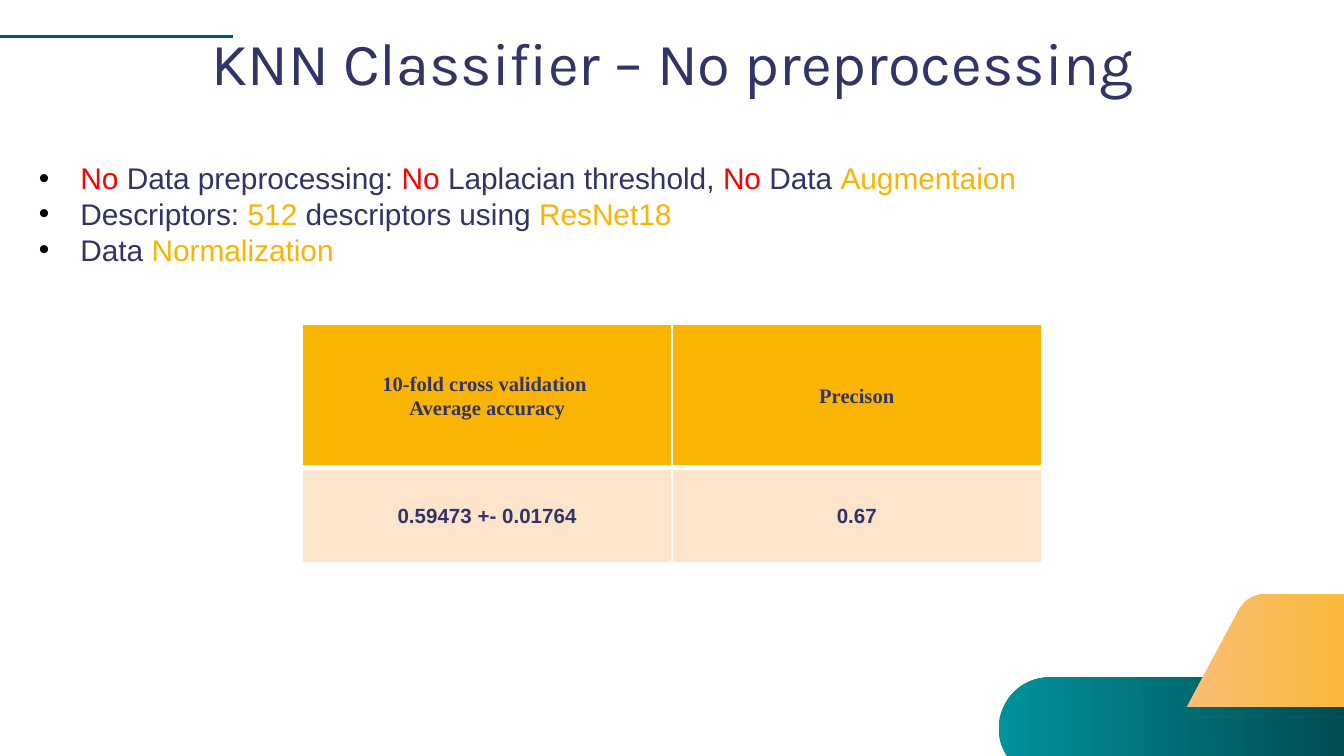
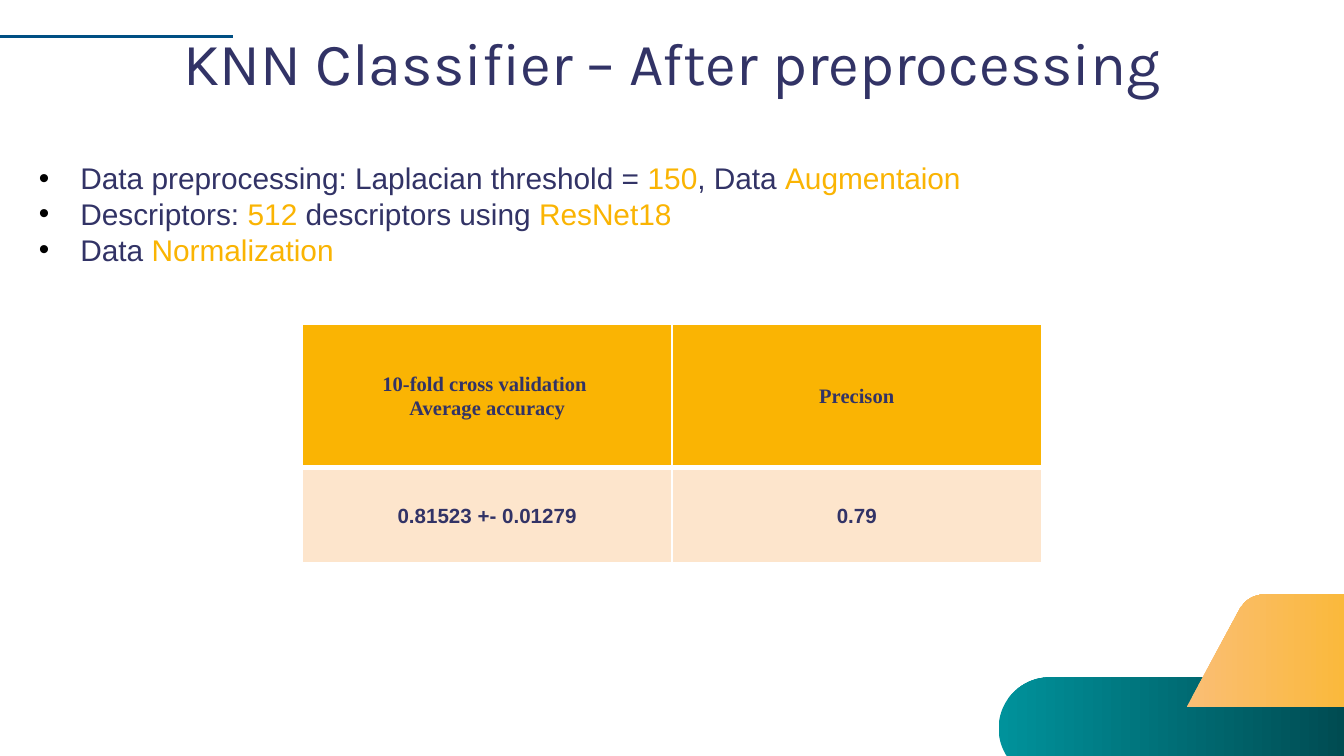
from dataclasses import dataclass
from typing import NamedTuple

from lxml import etree
from pptx import Presentation
from pptx.dml.color import RGBColor
from pptx.enum.shapes import MSO_CONNECTOR, MSO_SHAPE
from pptx.enum.text import MSO_ANCHOR, PP_ALIGN
from pptx.oxml.ns import qn
from pptx.util import Emu, Pt

PX = 4572
BLANK = 6
STRAIGHT = MSO_CONNECTOR.STRAIGHT
ROUNDED = MSO_SHAPE.ROUNDED_RECTANGLE
TOP, MIDDLE = MSO_ANCHOR.TOP, MSO_ANCHOR.MIDDLE
LEFT, CENTER = PP_ALIGN.LEFT, PP_ALIGN.CENTER


@dataclass(frozen=True)
class Theme:
    ink: str = "323366"
    amber: str = "FAB403"
    red: str = "FE0000"
    peach: str = "FDE5CC"
    rule: str = "004F83"
    white: str = "FFFFFF"
    bullet: str = "000000"
    teal_stops: tuple = ((0, "00929B"), (100, "00373D"))
    amber_stops: tuple = ((0, "FABE75"), (66, "FAB93C"), (100, "FAB403"))
    title_font: str = "Karla"
    body_font: str = "Arial"
    header_font: str = "Times New Roman"
    title_size: int = 32
    body_size: int = 16
    table_size: int = 11
    rule_width: float = 1.5
    thin_border: int = 1
    thick_border: int = 3


THEME = Theme()


class Box(NamedTuple):
    left: int
    top: int
    width: int
    height: int

    def emu(self) -> list:
        return [px(length) for length in self]


class Run(NamedTuple):
    text: str
    color: str = THEME.ink


@dataclass(frozen=True)
class Experiment:
    title: str
    preprocessing: tuple
    accuracy: str
    precision: str


SLIDE_WIDTH, SLIDE_HEIGHT = 2000, 1125
TITLE_BOX = Box(198, 18, 1606, 172)
SETUP_BOX = Box(38, 190, 1542, 256)
RESULTS_BOX = Box(450, 482, 1100, 356)
TEAL_BAND = Box(1486, 1008, 658, 152)
RULE_Y, RULE_END = 54, 346
TAB_CORNERS = ((1766, 1052), (2032, 1052), (2122, 884), (1884, 884))
TAB_CURVE = ((1884, 884), (1868, 884), (1852, 892), (1844, 908))
CURVE_STEPS = 12
ROW_HEIGHTS = (214, 142)
INSET, CELL_INSET, BULLET_INDENT = 20, 14, 62
CELL_LINE_SPACING = 1.07

RESULT_HEADERS = ("10-fold cross validation \nAverage accuracy", "Precison")
SHARED_SETUP = (
    (Run("Descriptors: "), Run("512", THEME.amber), Run(" descriptors using "),
     Run("ResNet18", THEME.amber)),
    (Run("Data "), Run("Normalization", THEME.amber)),
)
EXPERIMENTS = (
    Experiment(
        "KNN Classifier – No preprocessing",
        (Run("No", THEME.red), Run(" Data preprocessing: "),
         Run("No", THEME.red), Run(" Laplacian threshold, "),
         Run("No", THEME.red), Run(" Data "), Run("Augmentaion", THEME.amber)),
        "0.59473 +- 0.01764", "0.67",
    ),
    Experiment(
        "KNN Classifier – After preprocessing",
        (Run("Data preprocessing: Laplacian threshold = "),
         Run("150", THEME.amber), Run(", Data "),
         Run("Augmentaion", THEME.amber)),
        "0.81523 +- 0.01279", "0.79",
    ),
)


def px(length: int) -> Emu:
    return Emu(length * PX)


def rgb(color: str) -> RGBColor:
    return RGBColor.from_string(color)


def add_color(parent, color: str) -> None:
    etree.SubElement(parent, qn("a:srgbClr"), val=color)


def add_bullet(paragraph) -> None:
    props = paragraph._p.get_or_add_pPr()
    props.set("marL", str(px(BULLET_INDENT)))
    props.set("indent", str(-px(BULLET_INDENT)))
    add_color(etree.SubElement(props, qn("a:buClr")), THEME.bullet)
    etree.SubElement(props, qn("a:buFont"), typeface=THEME.body_font)
    etree.SubElement(props, qn("a:buChar"), char="•")


def write_text(frame, paragraphs: tuple, *, font: str, size: int,
               bold: bool = False, align=LEFT, spacing: float | None = None,
               bullets: bool = False) -> None:
    for index, runs in enumerate(paragraphs):
        paragraph = frame.add_paragraph() if index else frame.paragraphs[0]
        paragraph.alignment = align
        if spacing:
            paragraph.line_spacing = spacing
        if bullets:
            add_bullet(paragraph)
        for piece in runs:
            for number, line in enumerate(piece.text.split("\n")):
                if number:
                    paragraph.add_line_break()
                run = paragraph.add_run()
                run.text = line
                run.font.name = font
                run.font.size = Pt(size)
                run.font.bold = bold
                run.font.color.rgb = rgb(piece.color)


def add_text_frame(slide, box: Box, anchor):
    frame = slide.shapes.add_textbox(*box.emu()).text_frame
    frame.word_wrap = True
    frame.vertical_anchor = anchor
    frame.margin_left = frame.margin_right = px(INSET)
    frame.margin_top = frame.margin_bottom = px(INSET)
    return frame


def paint_gradient(shape, stops: tuple) -> None:
    shape.shadow.inherit = False
    shape.line.fill.background()
    shape.fill.gradient()
    shape.fill.gradient_angle = 0
    stop_list = shape._element.spPr.find(".//" + qn("a:gsLst"))
    for old_stop in list(stop_list):
        stop_list.remove(old_stop)
    for percent, color in stops:
        add_color(etree.SubElement(stop_list, qn("a:gs"), pos=str(percent * 1000)), color)


def curve_points(controls: tuple, steps: int) -> list:
    def blend(a: float, b: float, c: float, d: float, t: float) -> float:
        u = 1 - t
        return a * u**3 + 3 * b * u**2 * t + 3 * c * u * t**2 + d * t**3

    xs, ys = zip(*controls)
    return [(blend(*xs, step / steps), blend(*ys, step / steps))
            for step in range(1, steps + 1)]


def draw_decoration(slide) -> None:
    band = slide.shapes.add_shape(ROUNDED, *TEAL_BAND.emu())
    band.adjustments[0] = 0.5
    paint_gradient(band, THEME.teal_stops)

    rule = slide.shapes.add_connector(STRAIGHT, 0, px(RULE_Y), px(RULE_END), px(RULE_Y))
    rule.line.color.rgb = rgb(THEME.rule)
    rule.line.width = Pt(THEME.rule_width)
    etree.SubElement(rule._element.spPr, qn("a:effectLst"))

    builder = slide.shapes.build_freeform(*TAB_CURVE[-1], scale=float(PX))
    builder.add_line_segments(
        [*TAB_CORNERS, *curve_points(TAB_CURVE, CURVE_STEPS)], close=True)
    paint_gradient(builder.convert_to_shape(), THEME.amber_stops)


def add_borders(cell, top: int, bottom: int) -> None:
    props = cell._tc.get_or_add_tcPr()
    widths = {"lnL": THEME.thin_border, "lnR": THEME.thin_border,
              "lnT": top, "lnB": bottom}
    for side, width in widths.items():
        border = etree.SubElement(props, qn(f"a:{side}"), w=str(Pt(width)))
        add_color(etree.SubElement(border, qn("a:solidFill")), THEME.white)


def draw_results(slide, experiment: Experiment) -> None:
    rows = (
        (RESULT_HEADERS, THEME.amber, THEME.header_font,
         THEME.thin_border, THEME.thick_border),
        ((experiment.accuracy, experiment.precision), THEME.peach, THEME.body_font,
         THEME.thick_border, THEME.thin_border),
    )
    columns = len(RESULT_HEADERS)
    results = slide.shapes.add_table(len(rows), columns, *RESULTS_BOX.emu()).table
    for column in results.columns:
        column.width = px(RESULTS_BOX.width // columns)
    for r, (texts, fill, font, top, bottom) in enumerate(rows):
        results.rows[r].height = px(ROW_HEIGHTS[r])
        for c, text in enumerate(texts):
            cell = results.cell(r, c)
            add_borders(cell, top, bottom)
            cell.fill.solid()
            cell.fill.fore_color.rgb = rgb(fill)
            cell.vertical_anchor = MIDDLE
            cell.margin_left = cell.margin_right = px(CELL_INSET)
            cell.margin_top = cell.margin_bottom = 0
            write_text(cell.text_frame, ((Run(text),),), font=font,
                       size=THEME.table_size, bold=True, align=CENTER,
                       spacing=CELL_LINE_SPACING)


def draw_experiment(presentation, experiment: Experiment) -> None:
    slide = presentation.slides.add_slide(presentation.slide_layouts[BLANK])
    slide.background.fill.solid()
    slide.background.fill.fore_color.rgb = rgb(THEME.white)
    draw_decoration(slide)
    write_text(add_text_frame(slide, TITLE_BOX, TOP), ((Run(experiment.title),),),
               font=THEME.title_font, size=THEME.title_size, align=CENTER)
    draw_results(slide, experiment)
    write_text(add_text_frame(slide, SETUP_BOX, MIDDLE),
               (experiment.preprocessing, *SHARED_SETUP),
               font=THEME.body_font, size=THEME.body_size, bullets=True)


def main() -> None:
    presentation = Presentation()
    presentation.slide_width = px(SLIDE_WIDTH)
    presentation.slide_height = px(SLIDE_HEIGHT)
    for experiment in EXPERIMENTS:
        draw_experiment(presentation, experiment)
    presentation.save("out.pptx")


if __name__ == "__main__":
    main()
